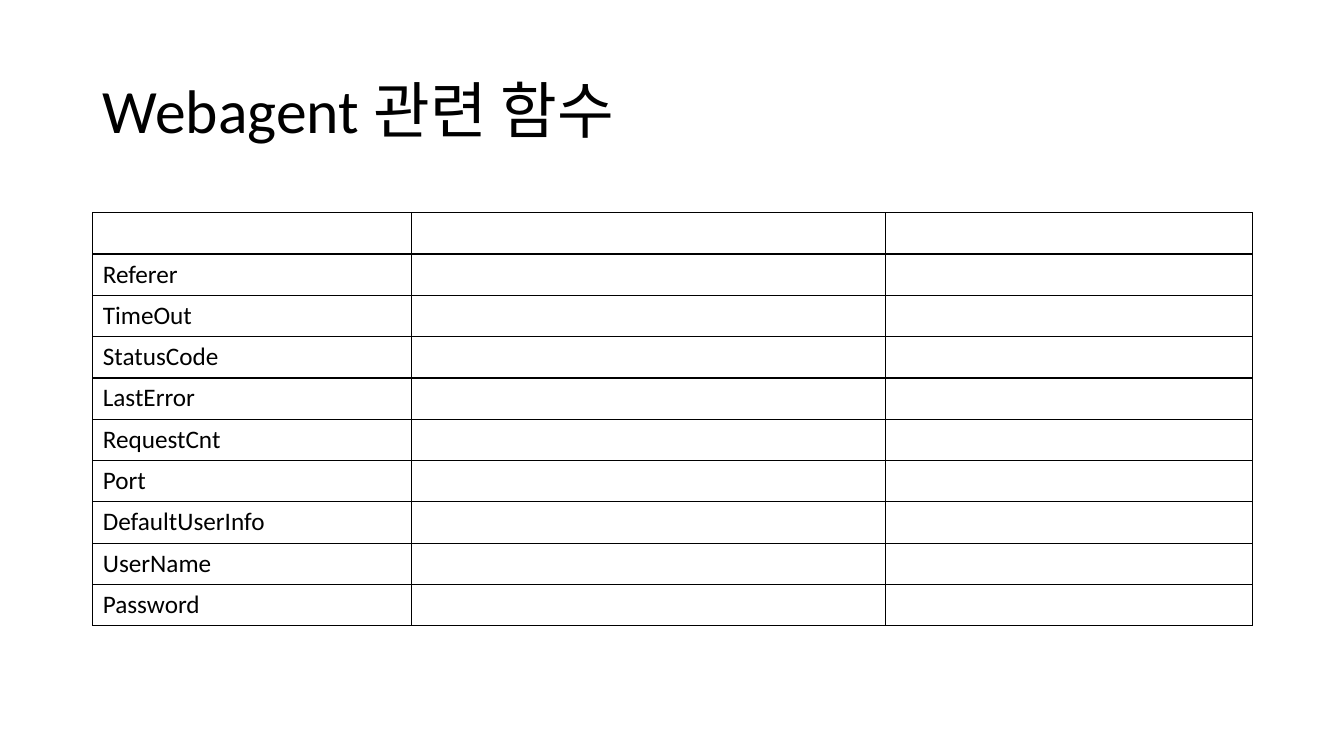
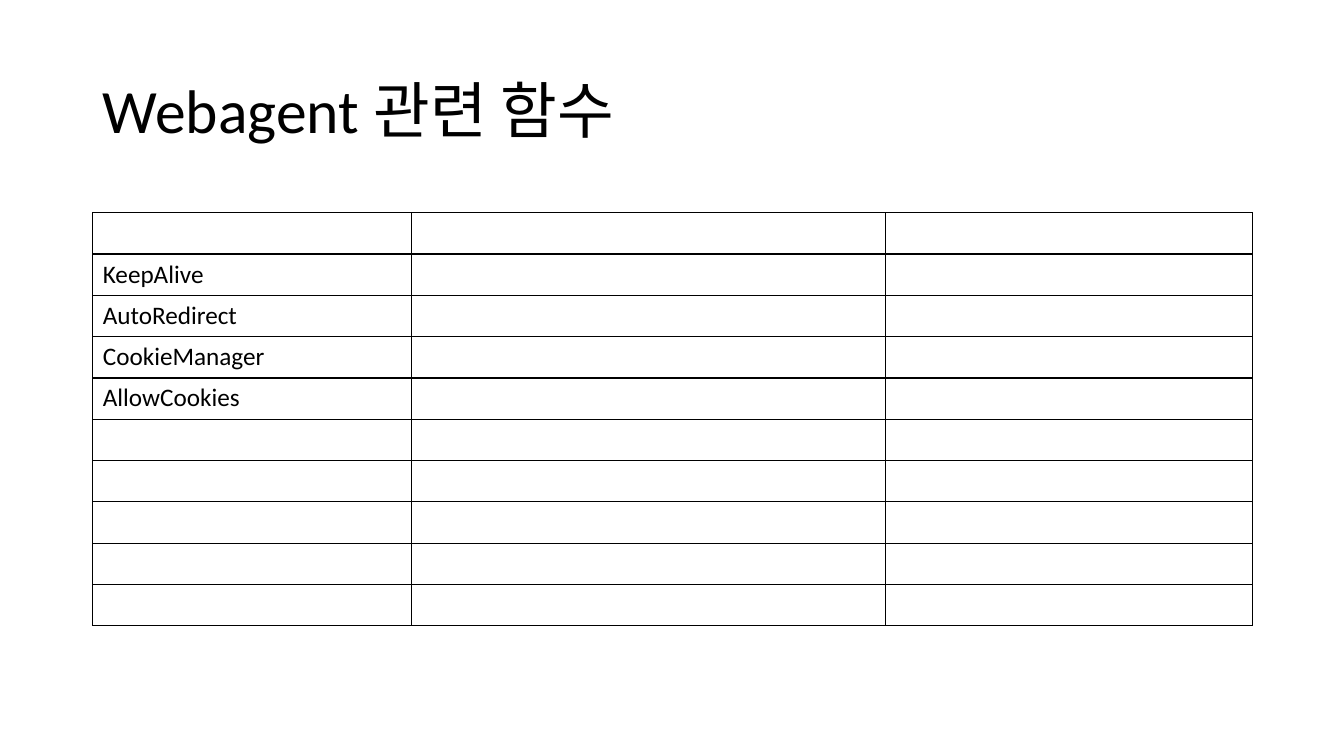
from lxml import etree
from pptx import Presentation
from pptx.dml.color import RGBColor
from pptx.enum.text import MSO_ANCHOR
from pptx.oxml.ns import qn
from pptx.util import Inches, Pt

MIDDLE = MSO_ANCHOR.MIDDLE
FONT = "Calibri"
BLACK = "000000"
TITLE = "Webagent 관련 함수"
TITLE_BOX = (0.92, 0.4, 11.5, 1.45)
TABLE_BOX = (0.92, 2.11, 11.5, 4.1)
COLUMN_WIDTHS = (3.16, 4.7, 3.64)
ROW_COUNT = 10
BORDER_WIDTH = 1
FUNCTION_LISTS = (
    ("Referer", "TimeOut", "StatusCode", "LastError", "RequestCnt",
     "Port", "DefaultUserInfo", "UserName", "Password"),
    ("KeepAlive", "AutoRedirect", "CookieManager", "AllowCookies"),
)


def color(hex_string):
    """Turn a hex string into a colour."""
    return RGBColor.from_string(hex_string)


def style_text(paragraph, size):
    """Give a paragraph the shared font and colour."""
    paragraph.font.name = FONT
    paragraph.font.size = Pt(size)
    paragraph.font.color.rgb = color(BLACK)


def add_title(slide, box, text):
    """Place the slide title, centred vertically in its box."""
    shape = slide.shapes.add_textbox(*map(Inches, box))
    frame = shape.text_frame
    frame.word_wrap = True
    frame.vertical_anchor = MIDDLE
    paragraph = frame.paragraphs[0]
    paragraph.text = text
    paragraph.line_spacing = 0.9
    style_text(paragraph, 44)


def set_borders(cell):
    """Draw a solid line on all four sides of a cell."""
    properties = cell._tc.get_or_add_tcPr()
    for position, side in enumerate(("a:lnL", "a:lnR", "a:lnT", "a:lnB")):
        line = etree.Element(qn(side), w=str(Pt(BORDER_WIDTH)))
        fill = etree.SubElement(line, qn("a:solidFill"))
        etree.SubElement(fill, qn("a:srgbClr"), val=BLACK)
        properties.insert(position, line)


def add_function_table(slide, box, names):
    """Fill a box with a ruled table, naming functions below an empty header."""
    left, top, width, height = map(Inches, box)
    table = slide.shapes.add_table(
        ROW_COUNT, len(COLUMN_WIDTHS), left, top, width, height).table
    table.first_row = False
    table.horz_banding = False
    for column, column_width in zip(table.columns, COLUMN_WIDTHS):
        column.width = Inches(column_width)
    for cell in table.iter_cells():
        cell.fill.background()
        set_borders(cell)
        style_text(cell.text_frame.paragraphs[0], 18)
    for row, name in enumerate(names, start=1):
        table.cell(row, 0).text_frame.paragraphs[0].text = name


def add_function_slide(presentation, names):
    """Add one slide with the shared title and a table of functions."""
    slide = presentation.slides.add_slide(presentation.slide_layouts[6])
    add_function_table(slide, TABLE_BOX, names)
    add_title(slide, TITLE_BOX, TITLE)


def main():
    """Build and save the presentation."""
    presentation = Presentation()
    presentation.slide_width = Inches(13.33)
    presentation.slide_height = Inches(7.5)
    for names in FUNCTION_LISTS:
        add_function_slide(presentation, names)
    presentation.save("out.pptx")


main()
